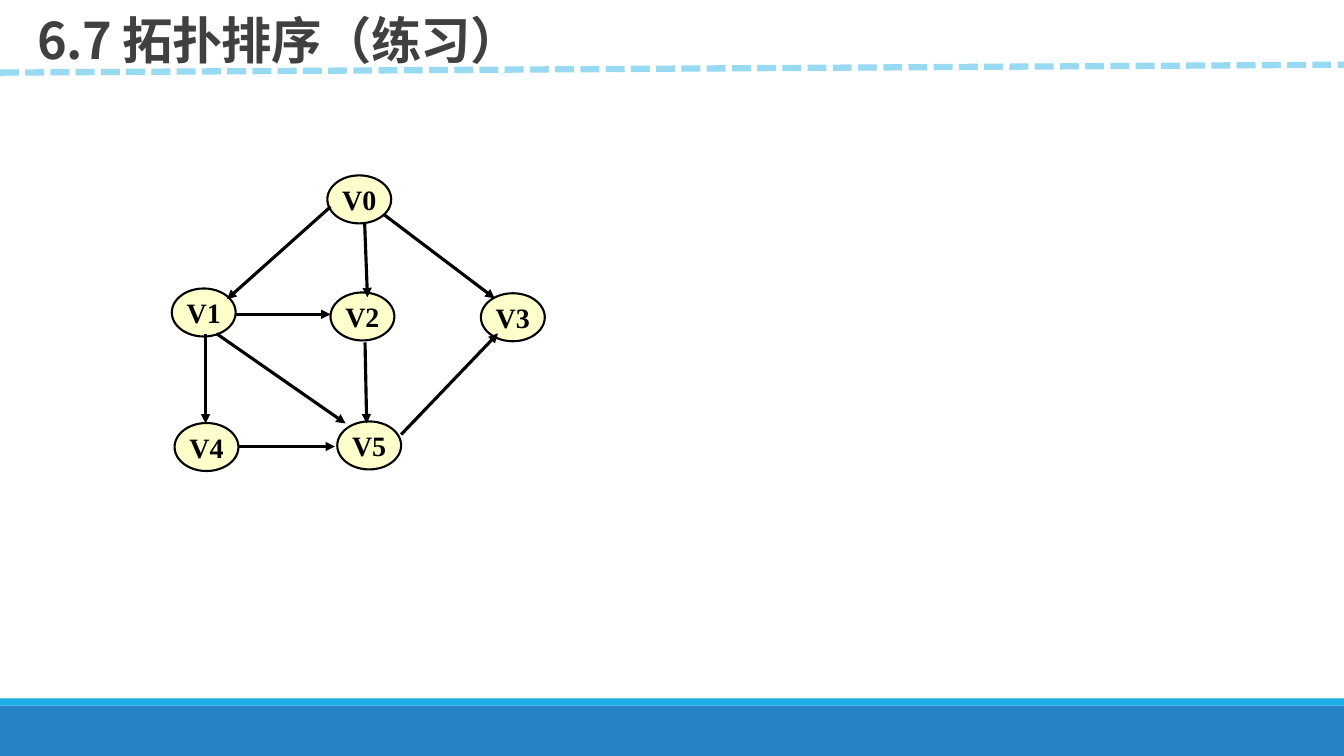
from lxml import etree
from pptx import Presentation
from pptx.dml.color import RGBColor
from pptx.enum.dml import MSO_LINE
from pptx.enum.shapes import MSO_CONNECTOR, MSO_SHAPE
from pptx.enum.text import MSO_ANCHOR, MSO_AUTO_SIZE, PP_ALIGN
from pptx.oxml.ns import qn
from pptx.util import Cm, Pt

RECTANGLE, OVAL = MSO_SHAPE.RECTANGLE, MSO_SHAPE.OVAL
STRAIGHT = MSO_CONNECTOR.STRAIGHT
DASHED = MSO_LINE.SQUARE_DOT
MIDDLE, BOTTOM = MSO_ANCHOR.MIDDLE, MSO_ANCHOR.BOTTOM
LEFT, CENTER = PP_ALIGN.LEFT, PP_ALIGN.CENTER
NO_FIT = MSO_AUTO_SIZE.NONE

PAGE_WIDTH, PAGE_HEIGHT = 33.87, 19.05
TITLE_FONT = "Noto Sans CJK SC"
NODE_FONT = "Times New Roman"
NODE_WIDTH, NODE_HEIGHT = 1.61, 1.21

# Left and top of each vertex, in cm
VERTICES = {
    "V0": (8.25, 4.42),
    "V1": (4.33, 7.27),
    "V2": (8.33, 7.37),
    "V3": (12.12, 7.39),
    "V4": (4.4, 10.66),
    "V5": (8.5, 10.62),
}

# Start and end of each directed edge, in cm
EDGES = [
    ((8.33, 5.21), (5.72, 7.54)),  # V0 to V1
    ((9.19, 5.64), (9.26, 7.49)),  # V0 to V2
    ((9.68, 5.41), (12.47, 7.52)),  # V0 to V3
    ((5.94, 7.92), (8.33, 7.92)),  # V1 to V2
    ((5.18, 8.41), (5.18, 10.67)),  # V1 to V4
    ((5.46, 8.41), (8.71, 10.67)),  # V1 to V5
    ((9.2, 8.63), (9.24, 10.67)),  # V2 to V5
    ((6.02, 11.25), (8.44, 11.25)),  # V4 to V5
    ((10.11, 10.95), (12.55, 8.4)),  # V5 to V3
]


def color(hex_string):
    return RGBColor.from_string(hex_string)


def style_font(font, name, size, hex_string):
    font.name = name
    font.size = Pt(size)
    font.bold = True
    font.color.rgb = color(hex_string)


def add_filled(page, kind, left, top, width, height, fill):
    shape = page.shapes.add_shape(kind, Cm(left), Cm(top), Cm(width), Cm(height))
    shape.shadow.inherit = False
    shape.fill.solid()
    shape.fill.fore_color.rgb = color(fill)
    return shape


def add_bar(page, top, height, fill):
    bar = add_filled(page, RECTANGLE, 0, top, PAGE_WIDTH, height, fill)
    bar.line.fill.background()


def add_line(page, start, end, hex_string, width):
    line = page.shapes.add_connector(
        STRAIGHT, Cm(start[0]), Cm(start[1]), Cm(end[0]), Cm(end[1]))
    line.line.color.rgb = color(hex_string)
    line.line.width = Pt(width)
    etree.SubElement(line._element.spPr, qn("a:effectLst"))
    return line


def add_edge(page, start, end):
    edge = add_line(page, start, end, "000000", 2.25)
    etree.SubElement(edge.line._get_or_add_ln(), qn("a:tailEnd"), type="triangle")


def add_vertex(page, label, left, top):
    node = add_filled(page, OVAL, left, top, NODE_WIDTH, NODE_HEIGHT, "FFFFCC")
    node.line.color.rgb = color("000000")
    node.line.width = Pt(1.5)
    frame = node.text_frame
    frame.word_wrap = False
    frame.vertical_anchor = MIDDLE
    para = frame.paragraphs[0]
    para.text = label
    para.alignment = CENTER
    style_font(para.font, NODE_FONT, 20, "000000")


def set_title(page, text):
    title = page.shapes.title
    title.left, title.top = Cm(0.69), Cm(0.38)
    title.width, title.height = Cm(15.67), Cm(1.5)
    frame = title.text_frame
    frame.auto_size = NO_FIT
    frame.vertical_anchor = BOTTOM
    para = frame.paragraphs[0]
    para.alignment = LEFT
    para.line_spacing = 0.85
    span = para.add_run()
    span.text = text
    style_font(span.font, TITLE_FONT, 36, "404040")
    # East Asian typeface and tighter letter spacing
    properties = span._r.get_or_add_rPr()
    properties.set("spc", "-50")
    etree.SubElement(properties, qn("a:ea"), typeface=TITLE_FONT)


def main():
    deck = Presentation()
    deck.slide_width, deck.slide_height = Cm(PAGE_WIDTH), Cm(PAGE_HEIGHT)
    page = deck.slides.add_slide(deck.slide_layouts[5])

    # Footer bars
    add_bar(page, 17.78, 1.27, "2683C6")
    add_bar(page, 17.6, 0.18, "1CADE4")

    # Heading and dashed rule
    set_title(page, "6.7 拓扑排序（练习）")
    rule = add_line(page, (0, 1.83), (PAGE_WIDTH, 1.63), "99DAF3", 4.5)
    rule.line.dash_style = DASHED

    # Directed graph
    for label, (left, top) in VERTICES.items():
        add_vertex(page, label, left, top)
    for start, end in EDGES:
        add_edge(page, start, end)

    deck.save("out.pptx")


if __name__ == "__main__":
    main()
